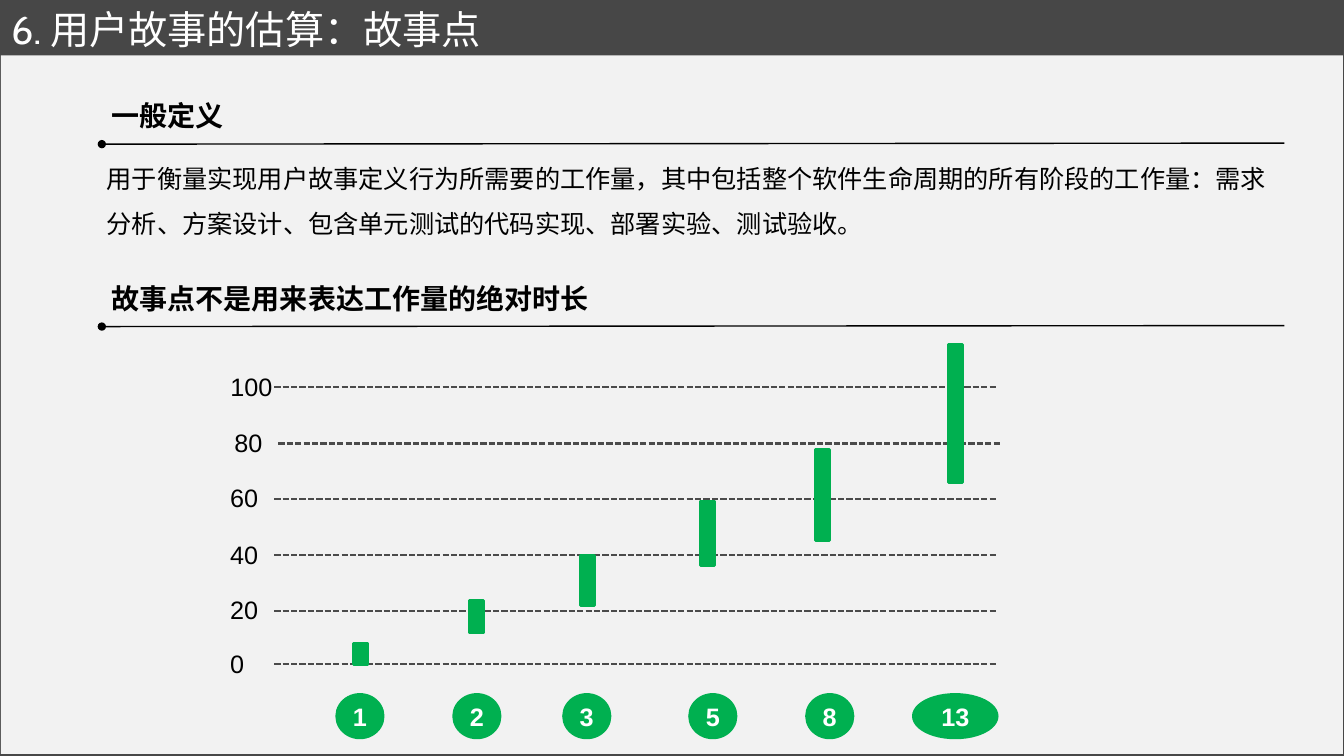
import lxml.etree
import pptx
import pptx.dml.color
import pptx.enum.dml
import pptx.enum.shapes
import pptx.enum.text
import pptx.oxml.ns
import pptx.util

ALIGN = pptx.enum.text.PP_ALIGN
ANCHOR = pptx.enum.text.MSO_ANCHOR
FIT = pptx.enum.text.MSO_AUTO_SIZE
SHAPE = pptx.enum.shapes.MSO_SHAPE
DASH = pptx.enum.dml.MSO_LINE
SCALE = 9144

COLOURS = {
    "dark": "474747",
    "panel": "F2F2F2",
    "grid": "4B4B4B",
    "green": "00B050",
    "black": "000000",
    "white": "FFFFFF",
}
CJK = "Noto Sans CJK SC"


def px(length):
    return pptx.util.Emu(length * SCALE)


def colour(name):
    return pptx.dml.color.RGBColor.from_string(COLOURS[name])


def apply(target, values):
    for name, value in values.items():
        setattr(target, name, value)


def add_xml(parent, tag, **attributes):
    return lxml.etree.SubElement(parent, pptx.oxml.ns.qn(tag), **attributes)


class SlideBuilder:
    def __init__(self, presentation):
        self.slide = presentation.slides.add_slide(presentation.slide_layouts[5])
        background = self.slide.background.fill
        background.solid()
        background.fore_color.rgb = colour("dark")

    def fill_text(self, shape, text, size, font="Arial", ink="black", bold=False,
                  frame={}, paragraph_format={}):
        text_frame = shape.text_frame
        apply(text_frame, {"word_wrap": False, **frame})
        paragraph = text_frame.paragraphs[0]
        apply(paragraph, paragraph_format)
        run = paragraph.add_run()
        run.text = text
        apply(run.font, {"size": pptx.util.Pt(size), "name": font, "bold": bold})
        run.font.color.rgb = colour(ink)
        add_xml(run.font._element, "a:ea", typeface=CJK)

    def paint(self, shape, fill, line=None, width=2):
        shape.fill.solid()
        shape.fill.fore_color.rgb = colour(fill)
        if line:
            shape.line.color.rgb = colour(line)
            shape.line.width = pptx.util.Pt(width)
        else:
            shape.line.fill.background()

    def title(self, text, box):
        title = self.slide.shapes.title
        apply(title, dict(zip(("left", "top", "width", "height"), map(px, box))))
        self.paint(title, "dark", "dark", 0.75)
        self.fill_text(title, text, 28, "Cabin", "white",
                       frame={"word_wrap": True, "auto_size": FIT.NONE,
                              "vertical_anchor": ANCHOR.MIDDLE},
                       paragraph_format={"alignment": ALIGN.LEFT})

    def shape(self, kind, box, fill, line=None):
        shape = self.slide.shapes.add_shape(kind, *map(px, box))
        shape.shadow.inherit = False
        self.paint(shape, fill, line)
        return shape

    def text(self, text, box, size, **style):
        text_box = self.slide.shapes.add_textbox(*map(px, box))
        self.fill_text(text_box, text, size, **style)

    def line(self, start, end, ink, width, dash=None, dot=False):
        connector = self.slide.shapes.add_connector(
            pptx.enum.shapes.MSO_CONNECTOR.STRAIGHT, *map(px, start + end))
        apply(connector.line, {"width": pptx.util.Pt(width), "dash_style": dash})
        connector.line.color.rgb = colour(ink)
        if dot:
            outline = connector._element.spPr.find(pptx.oxml.ns.qn("a:ln"))
            add_xml(outline, "a:headEnd", type="oval")
        add_xml(connector._element.spPr, "a:effectLst")

    def heading(self, text, top, width):
        self.text(text, (101, top, width, 44), 20, font=CJK, bold=True)
        self.line((101, top + 50), (1274, top + 49), "black", 1, dot=True)

    def grid_row(self, value, top, shift):
        text = str(value)
        self.line((272 + shift, top), (989 + shift, top), "grid", 1.5, DASH.SQUARE_DOT)
        self.text(text, (218 + shift, top - 21, 20 + 14 * len(text), 40), 18,
                  paragraph_format={"alignment": ALIGN.RIGHT})

    def story_point(self, point, badge_left, badge_width, bar_left, bar_top, bar_height):
        badge = self.shape(SHAPE.OVAL, (badge_left, 689, badge_width, 43), "green", "green")
        self.fill_text(badge, point, 18, ink="white", bold=True,
                       frame={"vertical_anchor": ANCHOR.MIDDLE},
                       paragraph_format={"alignment": ALIGN.CENTER})
        self.shape(SHAPE.RECTANGLE, (bar_left, bar_top, 14, bar_height), "green", "green")


def main():
    presentation = pptx.Presentation()
    apply(presentation, {"slide_width": px(1333), "slide_height": px(750)})
    builder = SlideBuilder(presentation)

    builder.shape(SHAPE.RECTANGLE, (1, 55, 1331, 693), "panel")
    builder.title("6. 用户故事的估算：故事点", (1, 2, 1332, 53))
    builder.heading("一般定义", 93, 132)
    builder.text(
        "用于衡量实现用户故事定义行为所需要的工作量，其中包括整个软件生命周期的所有阶段的工作量："
        "需求分析、方案设计、包含单元测试的代码实现、部署实验、测试验收。",
        (96, 142, 1193, 96), 18, frame={"word_wrap": True},
        paragraph_format={"line_spacing": 1.5})
    builder.heading("故事点不是用来表达工作量的绝对时长", 274, 497)

    for value, top, shift in (
        (100, 384, 0), (80, 440, 4), (60, 495, 0),
        (40, 551, 0), (20, 606, 0), (0, 659, 0),
    ):
        builder.grid_row(value, top, shift)

    for story_point in (
        ("1", 334, 46, 351, 638, 21),
        ("2", 450, 46, 466, 596, 32),
        ("3", 559, 46, 576, 551, 50),
        ("5", 684, 46, 695, 497, 64),
        ("8", 800, 46, 809, 446, 90),
        ("13", 906, 83, 941, 342, 137),
    ):
        builder.story_point(*story_point)

    presentation.save("out.pptx")


if __name__ == "__main__":
    main()
